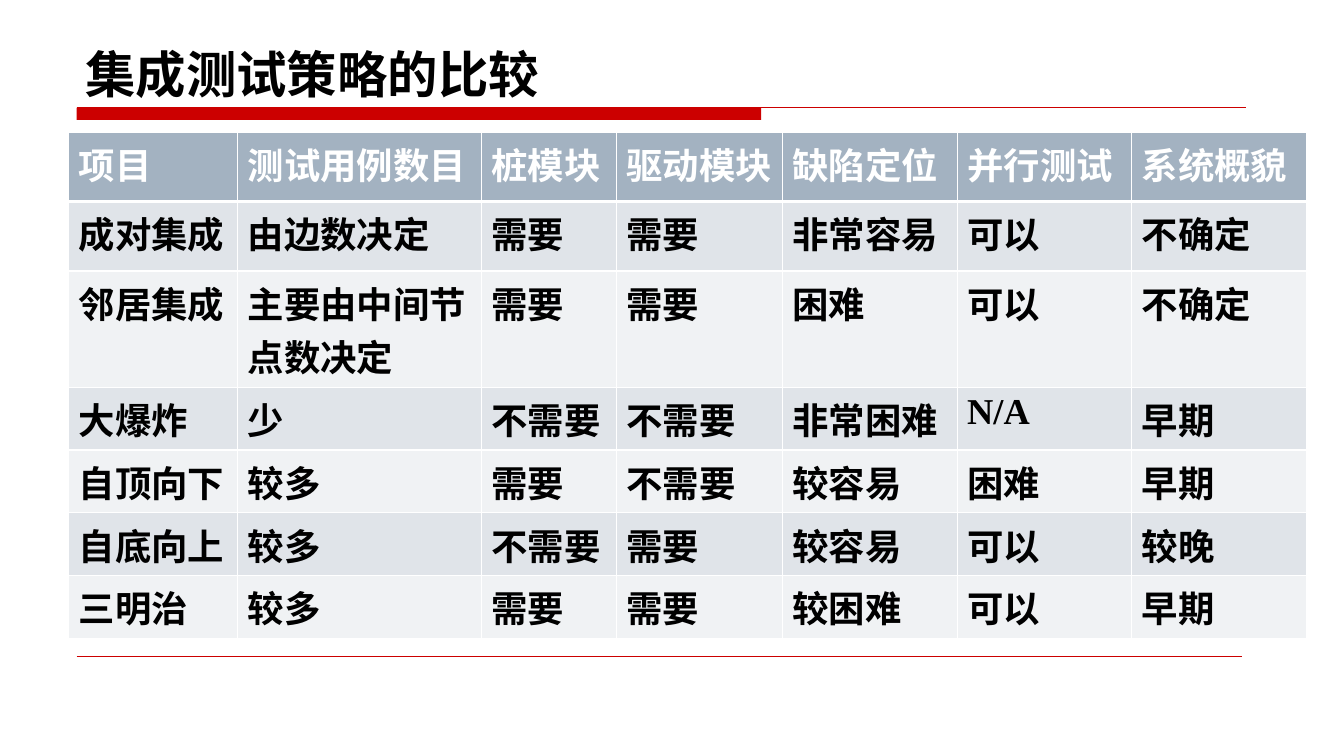
"""Build a slide comparing integration test strategies."""
from dataclasses import dataclass

from lxml.etree import SubElement
from pptx import Presentation
from pptx.dml.color import RGBColor
from pptx.enum.shapes import MSO_CONNECTOR, MSO_SHAPE
from pptx.enum.text import MSO_ANCHOR
from pptx.oxml.ns import qn
from pptx.util import Cm, Pt

TITLE = "集成测试策略的比较"
ROWS = [
    ("项目", "测试用例数目", "桩模块", "驱动模块", "缺陷定位", "并行测试", "系统概貌"),
    ("成对集成", "由边数决定", "需要", "需要", "非常容易", "可以", "不确定"),
    ("邻居集成", "主要由中间节点数决定", "需要", "需要", "困难", "可以", "不确定"),
    ("大爆炸", "少", "不需要", "不需要", "非常困难", "N/A", "早期"),
    ("自顶向下", "较多", "需要", "不需要", "较容易", "困难", "早期"),
    ("自底向上", "较多", "不需要", "需要", "较容易", "可以", "较晚"),
    ("三明治", "较多", "需要", "需要", "较困难", "可以", "早期"),
]
WIDTHS = [4.26, 6.14, 3.4, 4.19] + [4.4] * 3
HEIGHTS = [1.75, 1.75, 2.93] + [1.58] * 4


@dataclass(frozen=True)
class Theme:
    """Hold the colours, fonts and sizes."""
    red: str = "CC0000"
    ink: str = "000000"
    white: str = "FFFFFF"
    head: str = "A3B2C1"
    bands: tuple = ("F0F2F4", "E0E4E9")
    latin: str = "Times New Roman"
    asian: str = "Noto Sans CJK SC"
    title: int = 36
    body: int = 26


THEME = Theme()


def style(para, face, size, color):
    """Set the bold font of a paragraph."""
    font = para.font
    font.name, font.size, font.bold = face, Pt(size), True
    font.color.rgb = RGBColor.from_string(color)
    SubElement(font._element, qn("a:ea"), typeface=THEME.asian)


def rule(slide, left, right, top, weight):
    """Draw a thin red level line."""
    line = slide.shapes.add_connector(
        MSO_CONNECTOR.STRAIGHT, Cm(left), Cm(top), Cm(right), Cm(top))
    line.line.width = Pt(weight)
    line.line.color.rgb = RGBColor.from_string(THEME.red)
    SubElement(line._element.spPr, qn("a:effectLst"))


def edge(cell, row):
    """Give a cell white borders, thick below the header."""
    props = cell._tc.get_or_add_tcPr()
    thick = {"T": row == 1, "B": row == 0}
    for side in "LRTB":
        width = Pt(3 if thick.get(side) else 1)
        line = SubElement(props, qn(f"a:ln{side}"), w=str(width))
        fill = SubElement(line, qn("a:solidFill"))
        SubElement(fill, qn("a:srgbClr"), val=THEME.white)


def heading(slide):
    """Add the title with its red bar and lines."""
    bar = slide.shapes.add_shape(
        MSO_SHAPE.RECTANGLE, Cm(1.93), Cm(2.72), Cm(17.25), Cm(0.3))
    bar.shadow.inherit = False
    bar.fill.solid()
    bar.fill.fore_color.rgb = RGBColor.from_string(THEME.red)
    bar.line.fill.background()
    rule(slide, 1.93, 31.39, 2.72, 0.75)
    rule(slide, 1.93, 31.29, 16.54, 0.25)
    box = slide.shapes.add_textbox(Cm(1.9), Cm(0.74), Cm(29.64), Cm(2))
    frame = box.text_frame
    frame.word_wrap = True
    frame.vertical_anchor = MSO_ANCHOR.BOTTOM
    frame.text = TITLE
    style(frame.paragraphs[0], THEME.asian, THEME.title, THEME.ink)


def grid(slide):
    """Add the comparison table."""
    table = slide.shapes.add_table(
        len(ROWS), len(WIDTHS), Cm(1.73), Cm(3.33),
        Cm(sum(WIDTHS)), Cm(sum(HEIGHTS))).table
    for col, width in zip(table.columns, WIDTHS):
        col.width = Cm(width)
    for line, height in zip(table.rows, HEIGHTS):
        line.height = Cm(height)
    for row, words in enumerate(ROWS):
        shade = THEME.bands[row % 2] if row else THEME.head
        color = THEME.ink if row else THEME.white
        for col, word in enumerate(words):
            cell = table.cell(row, col)
            edge(cell, row)
            cell.fill.solid()
            cell.fill.fore_color.rgb = RGBColor.from_string(shade)
            cell.text = word
            style(cell.text_frame.paragraphs[0], THEME.latin, THEME.body, color)


def main():
    """Build and save the deck."""
    deck = Presentation()
    deck.slide_width, deck.slide_height = Cm(33.87), Cm(19.05)
    slide = deck.slides.add_slide(deck.slide_layouts[6])
    heading(slide)
    grid(slide)
    deck.save("out.pptx")


if __name__ == "__main__":
    main()
